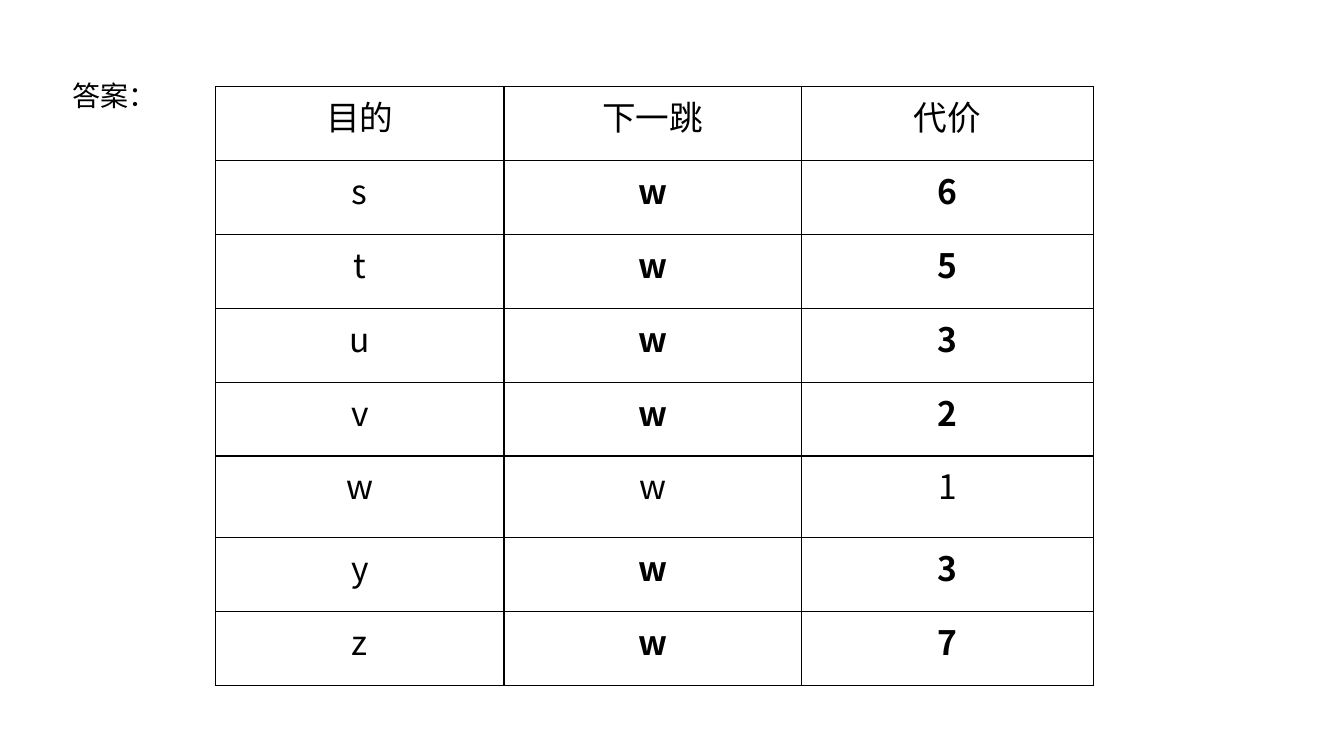
import pptx
import pptx.dml.color
import pptx.enum.text
import pptx.oxml
import pptx.oxml.ns
import pptx.util

COLORS = {"ink": "000000"}
FONT = "Noto Sans CJK SC"
ALIGN = pptx.enum.text.PP_ALIGN


class Deck:
    """Holds the style and current slide; lengths are percent of the slide."""

    def __init__(self, width, height):
        self.prs = pptx.Presentation()
        self.prs.slide_width = pptx.util.Inches(width)
        self.prs.slide_height = pptx.util.Inches(height)
        self.s = self.prs.slides.add_slide(self.prs.slide_layouts[6])

    def x(self, share):
        return round(self.prs.slide_width * share / 100)

    def y(self, share):
        return round(self.prs.slide_height * share / 100)

    def set_text(self, tf, text, size, bold=False, align=ALIGN.LEFT):
        tf.text = text
        p = tf.paragraphs[0]
        p.alignment = align
        font = p.runs[0].font
        font.name, font.size, font.bold = FONT, pptx.util.Pt(size), bold
        font.color.rgb = pptx.dml.color.RGBColor.from_string(COLORS["ink"])
        # East Asian glyphs use the same typeface
        ea = pptx.oxml.parse_xml(
            f'<a:ea {pptx.oxml.ns.nsdecls("a")} typeface="{FONT}"/>')
        p.runs[0]._r.get_or_add_rPr().append(ea)
        return p

    def label(self, text, left, top, width, height, size, spacing):
        sp = self.s.shapes.add_textbox(
            self.x(left), self.y(top), self.x(width), self.y(height))
        tf = sp.text_frame
        tf.word_wrap = True
        tf.auto_size = pptx.enum.text.MSO_AUTO_SIZE.SHAPE_TO_FIT_TEXT
        self.set_text(tf, text, size).line_spacing = spacing

    def border(self, cell, points):
        tcPr = cell._tc.get_or_add_tcPr()
        for i, side in enumerate(("lnL", "lnR", "lnT", "lnB")):
            tcPr.insert(i, pptx.oxml.parse_xml(
                f'<a:{side} {pptx.oxml.ns.nsdecls("a")} w="{pptx.util.Pt(points)}">'
                f'<a:solidFill><a:srgbClr val="{COLORS["ink"]}"/></a:solidFill>'
                f'</a:{side}>'))

    def table(self, rows, left, top, widths, heights, size, is_bold):
        table = self.s.shapes.add_table(
            len(rows), len(widths), self.x(left), self.y(top),
            self.x(sum(widths)), self.y(sum(heights))).table
        table.first_row = table.horz_banding = False
        for column, width in zip(table.columns, widths):
            column.width = self.x(width)
        for r, (values, height) in enumerate(zip(rows, heights)):
            table.rows[r].height = self.y(height)
            for c, value in enumerate(values):
                cell = table.cell(r, c)
                cell.fill.background()
                self.border(cell, 1)
                self.set_text(cell.text_frame, value, size,
                              is_bold(r, c), ALIGN.CENTER)


def main():
    deck = Deck(13.33, 7.5)

    # Routing table: every destination is reached through w
    costs = {"s": 6, "t": 5, "u": 3, "v": 2, "w": 1, "y": 3, "z": 7}
    rows = [("目的", "下一跳", "代价")]
    rows += [(node, "w", str(cost)) for node, cost in costs.items()]
    heights = [10.8 if row[0] == "w" else 9.77 for row in rows]
    deck.table(rows, 16.05, 11.47, (21.45, 22.13, 21.75), heights, 24,
               lambda r, c: r > 0 and c > 0 and rows[r][0] != "w")

    # Answer label
    deck.label("答案：", 4.65, 7.47, 8.03, 7.33, 20, 1.5)

    deck.prs.save("out.pptx")


if __name__ == "__main__":
    main()
